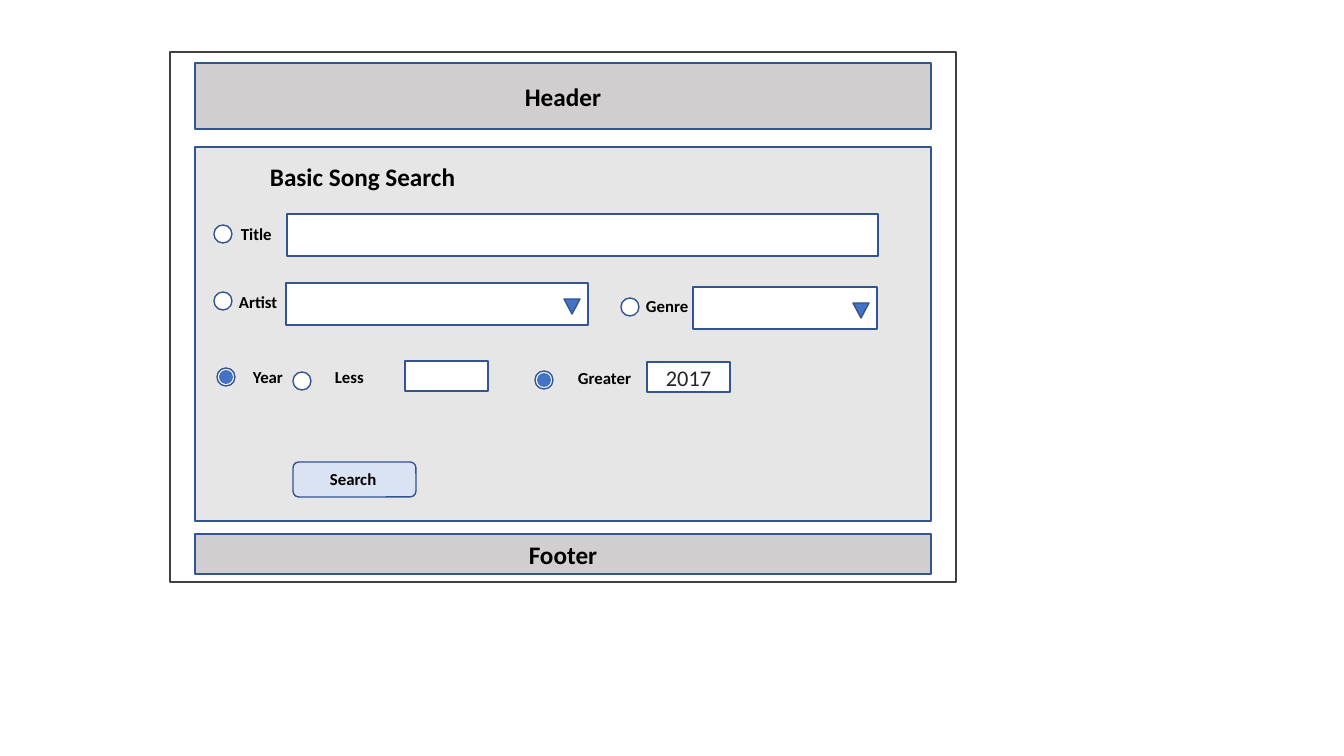
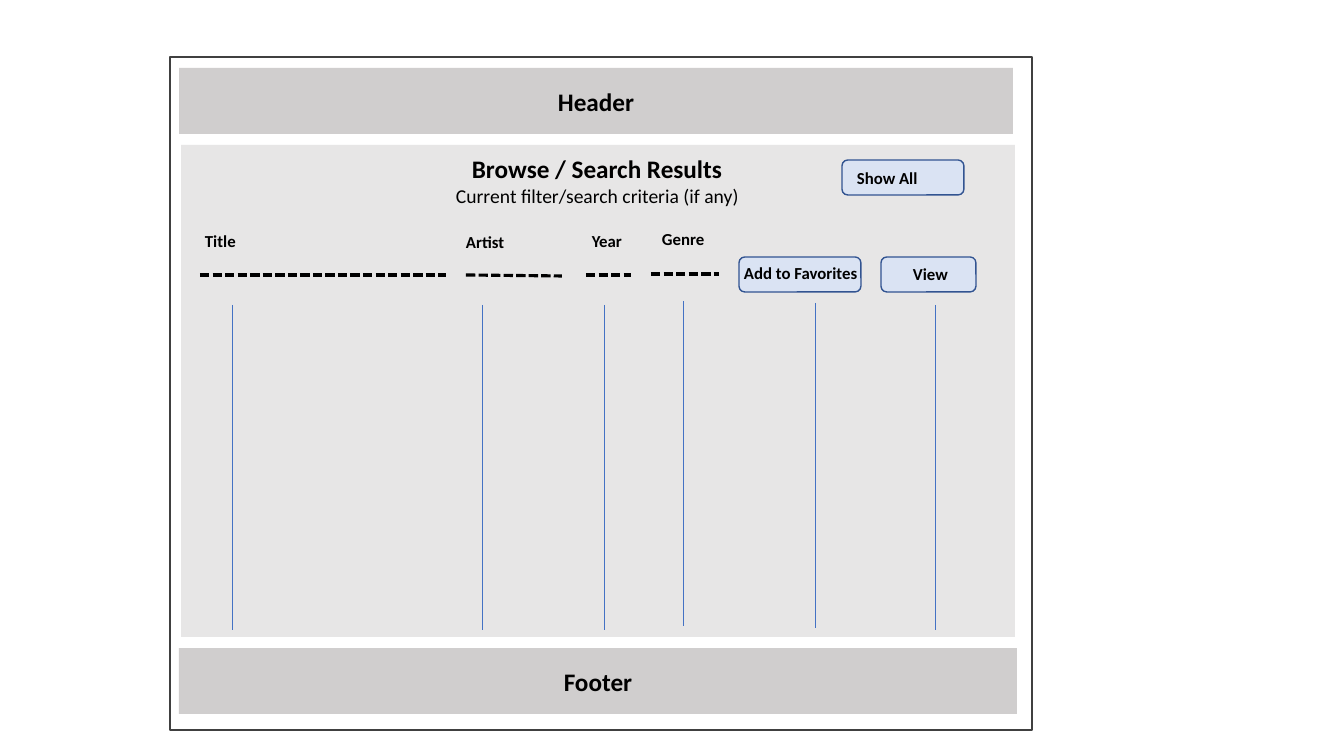
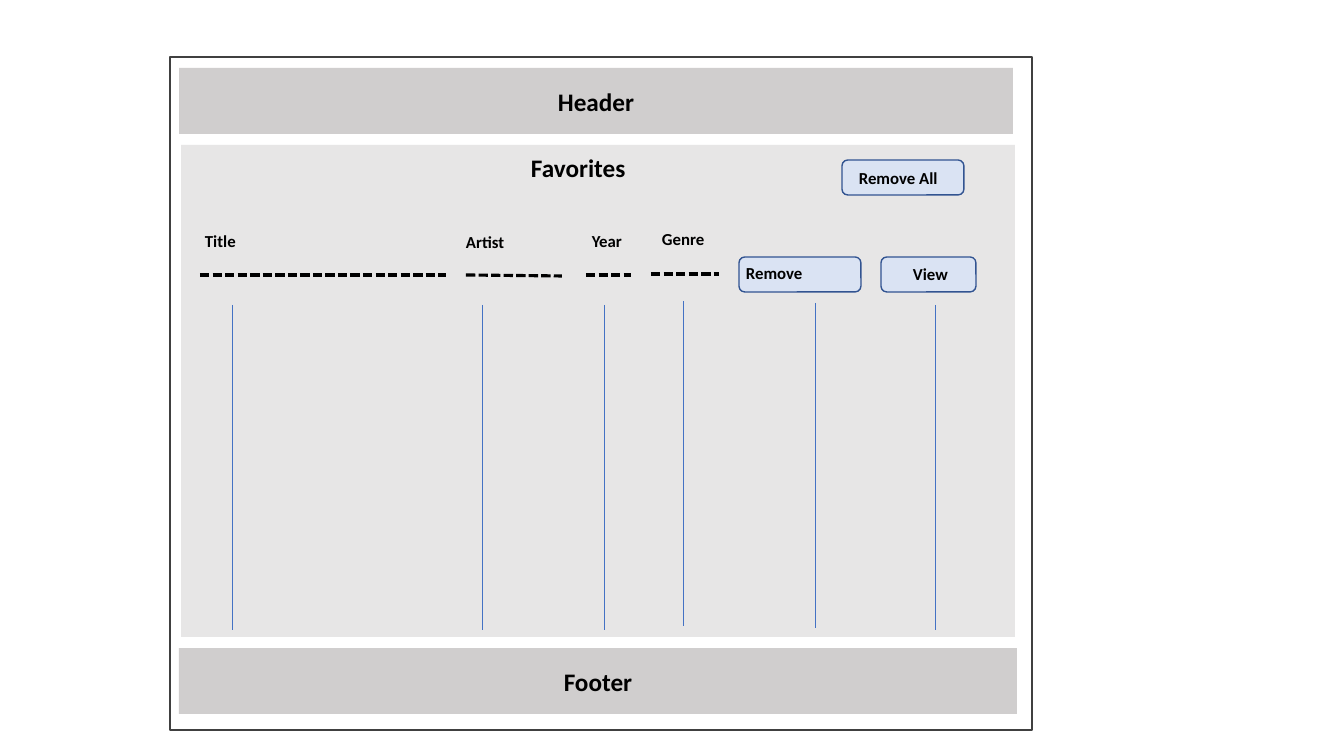
from lxml.etree import SubElement
from pptx import Presentation
from pptx.dml.color import RGBColor
from pptx.enum.dml import MSO_LINE
from pptx.enum.shapes import MSO_CONNECTOR, MSO_SHAPE
from pptx.enum.text import MSO_ANCHOR, MSO_AUTO_SIZE, PP_ALIGN
from pptx.oxml.ns import qn
from pptx.util import Pt

# Lengths are pixels, 100.8 to the inch
SCALE = 914400 / 100.8
PAGE_WIDTH, PAGE_HEIGHT = 1344, 756

BLACK = RGBColor(0x00, 0x00, 0x00)
INK = RGBColor(0x26, 0x26, 0x26)
WHITE = RGBColor(0xFF, 0xFF, 0xFF)
FRAME = RGBColor(0x40, 0x40, 0x40)
BAND = RGBColor(0xD0, 0xCE, 0xCE)
PANEL = RGBColor(0xE7, 0xE6, 0xE6)
BUTTON = RGBColor(0xDA, 0xE3, 0xF3)
BLUE = RGBColor(0x44, 0x72, 0xC4)
OUTLINE = RGBColor(0x32, 0x54, 0x91)

# Text styles
HEADING = {"name": "Calibri", "size": Pt(18), "bold": True}
LABEL = HEADING | {"size": Pt(12)}
SUBTITLE = HEADING | {"size": Pt(14), "bold": False}
ENTRY = HEADING | {"size": Pt(16), "bold": False}

BUTTON_HEIGHT = 35
LABEL_HEIGHT = 30
RADIO = 18
DOT = 14


def emu(*pixels):
    return [round(value * SCALE) for value in pixels]


def write(frame, words, style, colour=BLACK, align=PP_ALIGN.LEFT):
    para = frame.paragraphs[0]
    para.alignment = align
    span = para.add_run()
    span.text = words
    for name, value in style.items():
        setattr(span.font, name, value)
    span.font.color.rgb = colour


def add_text(page, words, place, style=LABEL, colour=BLACK, wrap=True):
    box = page.shapes.add_textbox(*emu(*place))
    box.text_frame.word_wrap = wrap
    box.text_frame.auto_size = MSO_AUTO_SIZE.SHAPE_TO_FIT_TEXT
    write(box.text_frame, words, style, colour)


def add_block(page, place, fill=WHITE, outline=OUTLINE, kind=MSO_SHAPE.RECTANGLE):
    block = page.shapes.add_shape(kind, *emu(*place))
    block.shadow.inherit = False
    if fill is None:
        block.fill.background()
    else:
        block.fill.solid()
        block.fill.fore_color.rgb = fill
    if outline is None:
        block.line.fill.background()
    else:
        block.line.color.rgb = outline
        block.line.width = Pt(1)
    return block


def add_band(page, words, place, outline):
    band = add_block(page, place, BAND, outline)
    band.text_frame.vertical_anchor = MSO_ANCHOR.MIDDLE
    write(band.text_frame, words, HEADING, align=PP_ALIGN.CENTER)


def add_rule(page, start, end, colour, width, dash=None):
    rule = page.shapes.add_connector(MSO_CONNECTOR.STRAIGHT, *emu(*start, *end))
    formats = {"width": Pt(width), "dash_style": dash}
    for name, value in formats.items():
        setattr(rule.line, name, value)
    rule.line.color.rgb = colour
    SubElement(rule._element.spPr, qn("a:effectLst"))


def add_button(page, words, left, top, width, label_place):
    add_block(page, (left, top, width, BUTTON_HEIGHT), BUTTON,
              kind=MSO_SHAPE.ROUNDED_RECTANGLE)
    add_text(page, words, (*label_place, LABEL_HEIGHT))


def add_radio(page, left, top, chosen=False):
    add_block(page, (left, top, RADIO, RADIO), kind=MSO_SHAPE.OVAL)
    if chosen:
        inset = (RADIO - DOT) / 2
        add_block(page, (left + inset, top + inset, DOT, DOT), BLUE, None, MSO_SHAPE.OVAL)


def add_dropdown(page, left, top, width):
    add_block(page, (left, top, width, 42))
    arrow = add_block(page, (left + width - 24, top + 16, 16, 15), BLUE,
                      kind=MSO_SHAPE.ISOSCELES_TRIANGLE)
    arrow.rotation = 180


def add_layout(page, frame, header, footer, panel, outline=None):
    add_block(page, frame, None, FRAME)
    add_band(page, "Header", header, outline)
    add_band(page, "Footer", footer, outline)
    add_block(page, panel, PANEL, outline)


def build_search(page):
    add_layout(page, (170, 52, 786, 530), (195, 63, 736, 66), (195, 534, 736, 40),
               (195, 147, 736, 374), OUTLINE)
    add_text(page, "Basic Song Search", (260, 156, 263, 40), HEADING)

    # Entry fields
    add_block(page, (287, 214, 591, 42))
    add_dropdown(page, 286, 283, 302)
    add_dropdown(page, 693, 287, 184)
    for left, top in ((405, 361), (647, 362)):
        add_block(page, (left, top, 83, 30))
    add_text(page, "2017", (656, 359, 74, 37), ENTRY, INK)

    # Each choice: label, its place and width, then its radio button
    choices = (
        ("Title", 231, 219, 75, 214, 225, False),
        ("Artist", 229, 287, 78, 214, 292, False),
        ("Genre", 636, 291, 88, 621, 298, False),
        ("Year", 243, 362, 153, 217, 368, True),
        ("Less", 325, 362, 109, 293, 372, False),
        ("Greater", 568, 363, 109, 535, 371, True),
    )
    for words, left, top, width, radio_left, radio_top, chosen in choices:
        add_text(page, words, (left, top, width, LABEL_HEIGHT))
        add_radio(page, radio_left, radio_top, chosen)

    add_button(page, "Search", 293, 462, 123, (320, 464, 108))


def build_list(page, page_action, row_action):
    add_layout(page, (170, 57, 862, 673), (179, 68, 834, 66), (179, 648, 838, 66),
               (181, 145, 834, 492))

    # Column labels with dashed sample rows
    columns = (
        ("Title", 195, 226, 106, (200, 275), (446, 275)),
        ("Artist", 456, 227, 106, (466, 275), (562, 276)),
        ("Year", 582, 226, 67, (586, 275), (631, 275)),
        ("Genre", 652, 224, 74, (651, 274), (719, 274)),
    )
    for words, left, top, width, start, end in columns:
        add_text(page, words, (left, top, width, LABEL_HEIGHT))
        add_rule(page, start, end, BLACK, 2.25, MSO_LINE.SQUARE_DOT)

    # Lines that carry each column down
    for x, top in ((232, 305), (482, 305), (604, 305), (683, 301), (815, 303), (935, 305)):
        add_rule(page, (x, top), (x, top + 325), BLUE, 0.5)

    # Buttons
    page_words, *page_label = page_action
    row_words, *row_label = row_action
    add_button(page, page_words, 842, 160, 122, page_label)
    add_button(page, row_words, 739, 257, 122, row_label)
    add_button(page, "View", 881, 257, 95, (903, 259, 61))


def main():
    deck = Presentation()
    deck.slide_width, deck.slide_height = emu(PAGE_WIDTH, PAGE_HEIGHT)
    blank = deck.slide_layouts[6]
    search, results, favorites = [deck.slides.add_slide(blank) for _ in range(3)]

    build_search(search)

    build_list(results, ("Show All", 847, 163, 102), ("Add to Favorites", 734, 258, 140))
    add_text(results, "Browse / Search Results", (462, 148, 272, 40), HEADING, wrap=False)
    add_text(results, "Current filter/search criteria (if any)", (446, 179, 336, 34), SUBTITLE)

    build_list(favorites, ("Remove All", 849, 163, 140), ("Remove", 736, 258, 140))
    add_text(favorites, "Favorites", (521, 147, 116, 40), HEADING, wrap=False)

    deck.save("out.pptx")


main()
